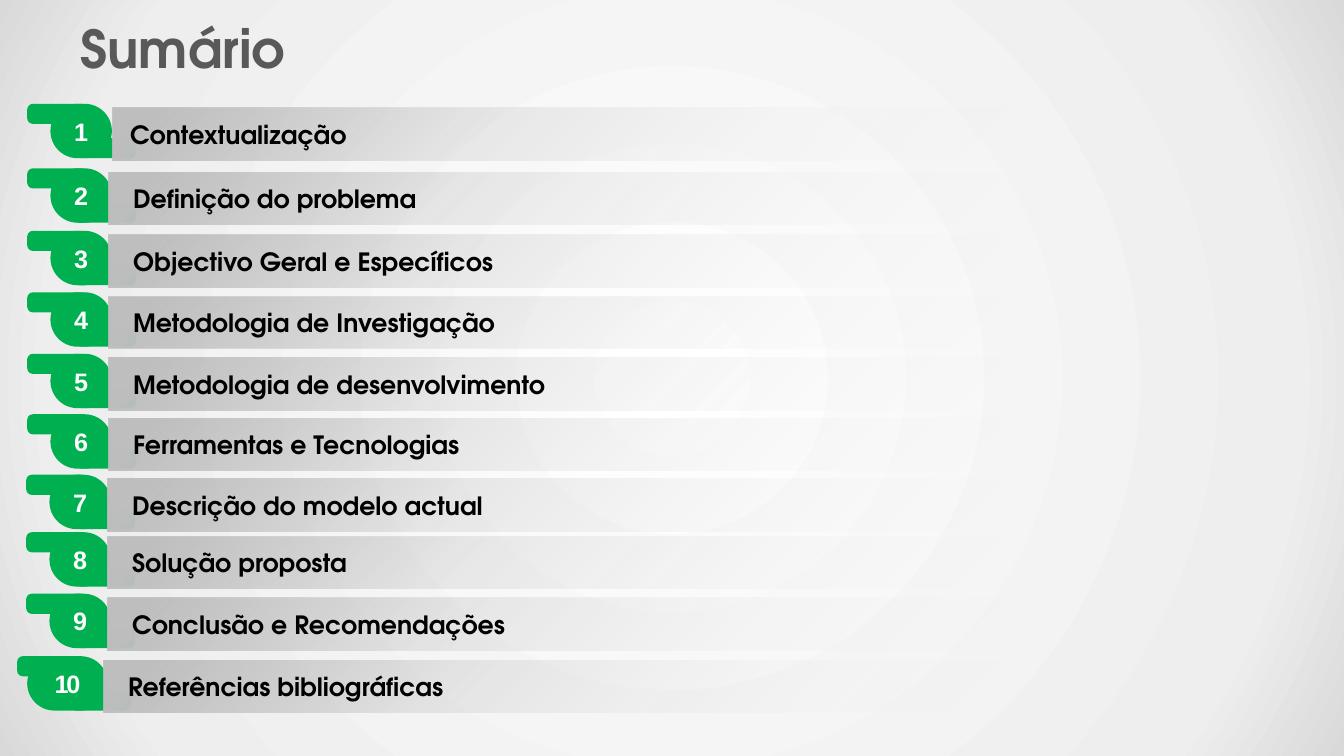
import lxml.etree
import pptx
import pptx.dml.color
import pptx.enum.shapes
import pptx.enum.text
import pptx.oxml.ns
import pptx.util

PX = 9144
GREEN = "00B050"
BACKDROP = [(0, "FFFFFF", 100), (81, "EEEEEE", 100), (100, "D9D9D9", 100)]
FADE = [(5, "BFBFBF", 100), (37, "BFBFBF", 31), (100, "FFFFFF", 0)]
TOPICS = [
    ("Contextualização", 27, 103),
    ("Definição do problema", 27, 167),
    ("Objectivo Geral e Específicos", 27, 229),
    ("Metodologia de Investigação", 27, 290),
    ("Metodologia de desenvolvimento", 27, 351),
    ("Ferramentas e Tecnologias", 27, 411),
    ("Descrição do modelo actual", 26, 471),
    ("Solução proposta", 26, 528),
    ("Conclusão e Recomendações", 26, 589),
    ("Referências bibliográficas", 17, 651),
]


def color(value):
    """Turn a hex string into a colour."""
    return pptx.dml.color.RGBColor.from_string(value)


def fill_gradient(element, stops, direction):
    """Replace the solid fill of an element by a gradient."""
    name = pptx.oxml.ns.qn("a:solidFill")
    solid = element.find(".//" + name)
    marks = "".join(
        f'<a:gs pos="{place * 1000}"><a:srgbClr val="{tone}">'
        f'<a:alpha val="{opacity * 1000}"/></a:srgbClr></a:gs>'
        for place, tone, opacity in stops
    )
    gradient = pptx.oxml.parse_xml(
        f'<a:gradFill {pptx.oxml.ns.nsdecls("a")} rotWithShape="1">'
        f"<a:gsLst>{marks}</a:gsLst>{direction}</a:gradFill>"
    )
    solid.getparent().replace(solid, gradient)


def write(shape, text, size, font, tone, align="LEFT", indent=10, spacing=0):
    """Write one bold line of text, centred vertically in a shape."""
    frame = shape.text_frame
    frame.word_wrap = True
    frame.vertical_anchor = pptx.enum.text.MSO_ANCHOR.MIDDLE
    frame.margin_left = indent * PX
    para = frame.paragraphs[0]
    para.alignment = pptx.enum.text.PP_ALIGN[align]
    span = para.add_run()
    span.text = text
    span.font.size = pptx.util.Pt(size)
    span.font.name = font
    span.font.bold = True
    span.font.color.rgb = color(tone)
    if spacing:
        span.font._element.set("spc", str(round(spacing * 100)))


def add_block(shapes, kind, box, tone, rounding=None):
    """Add a filled shape without outline or shadow."""
    shape = shapes.add_shape(
        pptx.enum.shapes.MSO_SHAPE[kind], *(length * PX for length in box)
    )
    shape.shadow.inherit = False
    shape.fill.solid()
    shape.fill.fore_color.rgb = color(tone)
    shape.line.fill.background()
    if rounding is not None:
        shape.adjustments[0] = rounding
    return shape


def add_title(page, box, text):
    """Add the slide title."""
    title = page.shapes.add_textbox(*(length * PX for length in box))
    write(title, text, 37.3, "TeX Gyre Adventor", "595959")


def add_tab(page, left, top, number):
    """Add the green numbered tab of a topic."""
    wide = number > 9
    foot, flag, start, width = (53, 66, 10, 80) if wide else (48, 60, 23, 61)
    shapes = page.shapes.add_group_shape().shapes
    for box in ((left + foot, top + 34, 60, 20), (left, top, flag, 20)):
        add_block(shapes, "ROUNDED_RECTANGLE", box, GREEN, 0.28)
    body = add_block(
        shapes, "ROUNDED_RECTANGLE", (left + start, top, width, 54), GREEN, 0.5
    )
    write(body, str(number), 18, "Arial", "FFFFFF", align="CENTER", spacing=-1.5)


def add_topic(page, left, top, number, text):
    """Add a numbered tab and the fading bar beside it."""
    add_tab(page, left, top, number)
    gap = {1: 85, 10: 86}.get(number, 81)
    bar = add_block(page.shapes, "RECTANGLE", (left + gap, top + 4, 929, 52), "BFBFBF")
    fill_gradient(bar.element, FADE, '<a:lin ang="2700000" scaled="0"/>')
    indent = 17 if number == 1 else 24
    write(bar, text, 18, "TeX Gyre Adventor", "000000", indent=indent)


def add_summary(deck):
    """Add the summary slide."""
    page = deck.slides.add_slide(deck.slide_layouts[6])
    page.background.fill.solid()
    fill_gradient(
        page.element,
        BACKDROP,
        '<a:path path="circle">'
        '<a:fillToRect l="50000" t="50000" r="50000" b="50000"/></a:path>',
    )
    add_title(page, (70, 8, 1200, 78), "Sumário")
    for number, (text, left, top) in enumerate(TOPICS, 1):
        add_topic(page, left, top, number, text)


def main():
    """Build and save the deck."""
    deck = pptx.Presentation()
    deck.slide_width = 1333 * PX
    deck.slide_height = 750 * PX
    add_summary(deck)
    deck.save("out.pptx")


if __name__ == "__main__":
    main()
